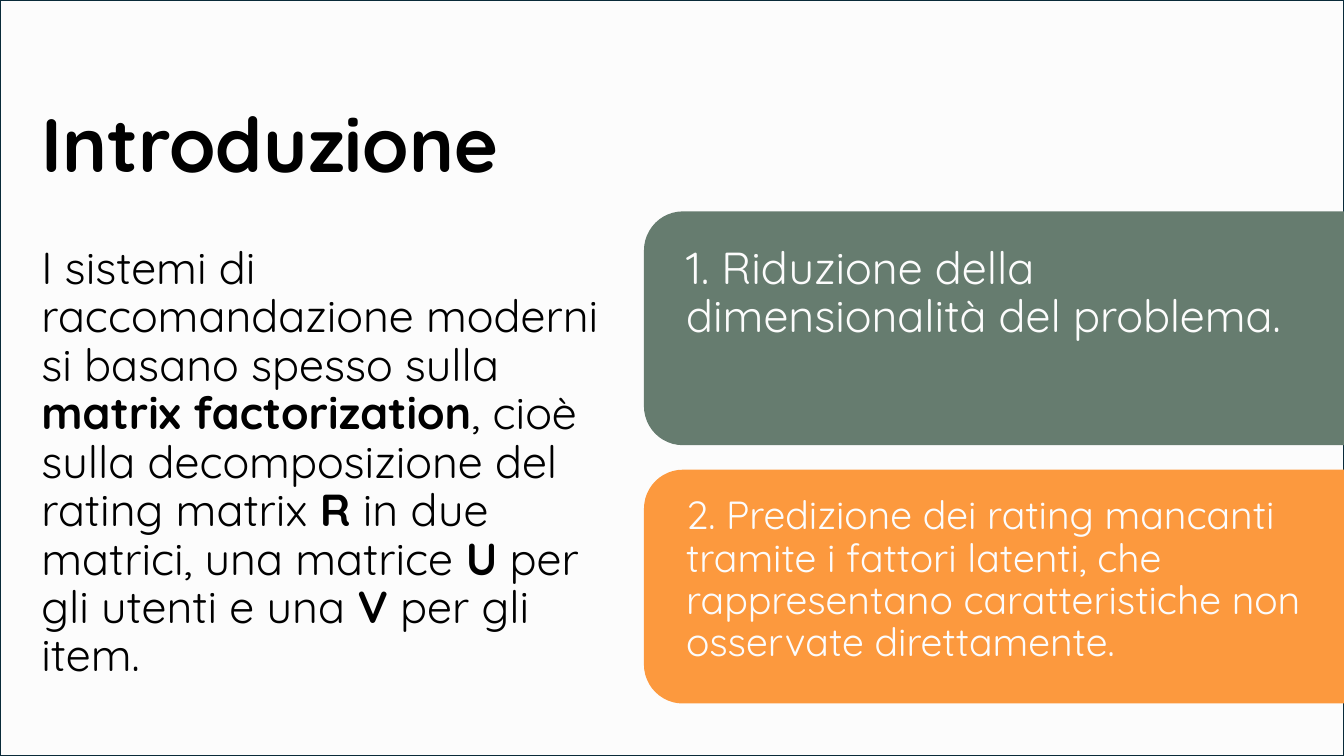
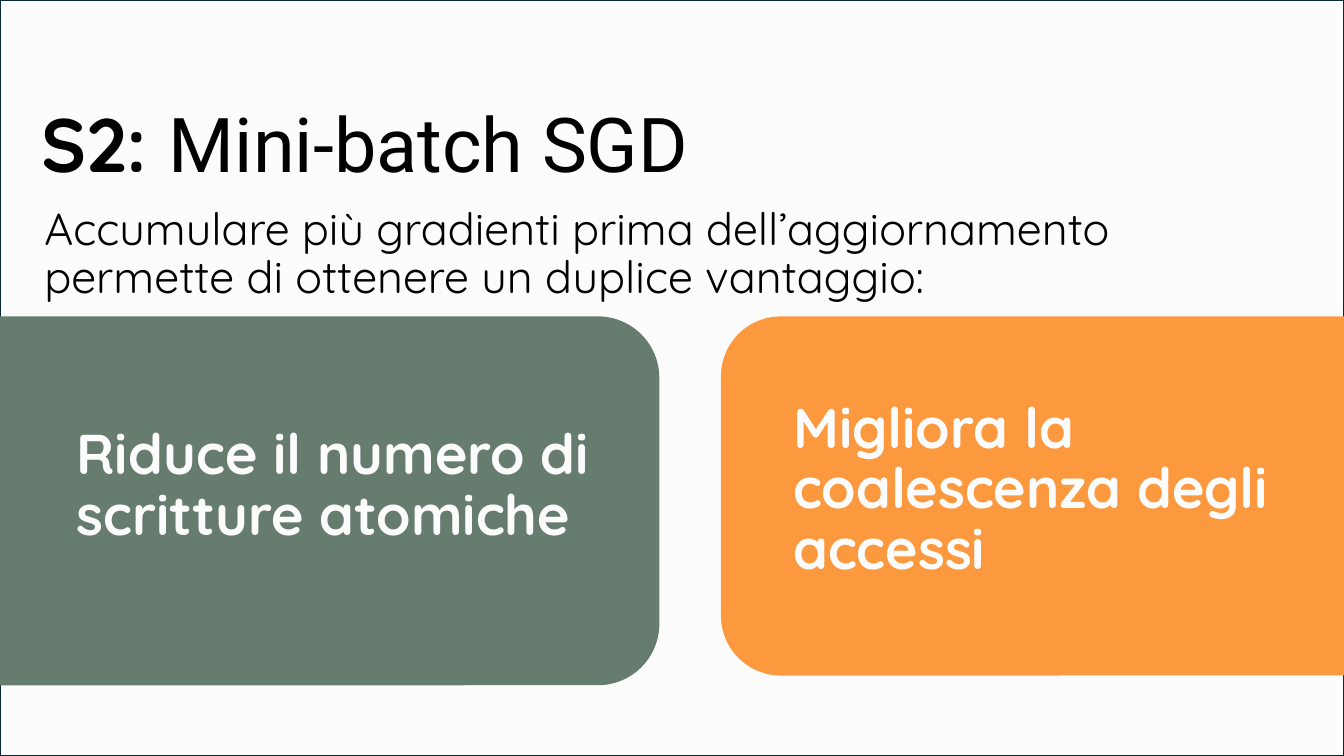
from lxml import etree
from pptx import Presentation
from pptx.dml.color import RGBColor
from pptx.enum import shapes, text
from pptx.oxml import ns
from pptx.util import Pt

WHITE = RGBColor(0xFC, 0xFC, 0xFC)
BLACK = RGBColor(0x00, 0x00, 0x00)
NAVY = RGBColor(0x09, 0x2A, 0x39)
GREEN = RGBColor(0x66, 0x7C, 0x6F)
ORANGE = RGBColor(0xFC, 0x99, 0x3E)
FONT = "Quicksand"
WIDTH, HEIGHT = 960, 540
LEFT = 22.3

# Each run is (text, bold, font); each card is
# (colour, card box, text box, text, size, bold).
SLIDES = [
    {
        "title": [("Introduzione", True, FONT)],
        "body": [
            ("I sistemi di raccomandazione moderni si basano spesso sulla ", False, FONT),
            ("matrix factorization", True, FONT),
            (", cioè sulla decomposizione del rating matrix ", False, FONT),
            ("R", True, FONT),
            (" in due matrici, una matrice ", False, FONT),
            ("U", True, FONT),
            (" per gli utenti e una ", False, FONT),
            ("V", True, FONT),
            (" per gli item.", False, FONT),
        ],
        "body_box": (LEFT, 172, 415.5, 316),
        "cards": [
            (GREEN, (460, 151, 629, 167), (483, 172, 455, 75),
             "1. Riduzione della dimensionalità del problema.", 32, False),
            (ORANGE, (460, 335.5, 629, 167), (483, 350.6, 455, 137.5),
             "2. Predizione dei rating mancanti tramite i fattori latenti, che "
             "rappresentano caratteristiche non osservate direttamente.", 28, False),
        ],
    },
    {
        "title": [("S2: ", True, FONT), ("Mini-batch SGD", False, "Roboto")],
        "body": [("Accumulare più gradienti prima dell’aggiornamento permette di "
                  "ottenere un duplice vantaggio:", False, FONT)],
        "body_box": (24.5, 144, 915, 75),
        "cards": [
            (GREEN, (-56, 226, 527, 263.5), (47.5, 301, 386.5, 106),
             "Riduce il numero di scritture atomiche", 40, True),
            (ORANGE, (515, 226, 513, 256.5), (559.5, 282, 386.5, 143),
             "Migliora la coalescenza degli accessi", 40, True),
        ],
    },
]


def place(sp, box):
    sp.left, sp.top, sp.width, sp.height = map(Pt, box)


def write(sp, runs, size, color, before=10, anchor=text.MSO_ANCHOR.TOP):
    """Fill a text shape with one left-aligned paragraph without a bullet."""
    tf = sp.text_frame
    tf.word_wrap = True
    tf.auto_size = text.MSO_AUTO_SIZE.NONE
    tf.vertical_anchor = anchor
    p = tf.paragraphs[0]
    p.alignment = text.PP_ALIGN.LEFT
    p.line_spacing = 0.9
    p.space_before = Pt(before)
    pPr = p._p.get_or_add_pPr()
    pPr.set("marL", "0")
    pPr.set("indent", "0")
    etree.SubElement(pPr, ns.qn("a:buNone"))
    for words, bold, font in runs:
        r = p.add_run()
        r.text = words
        r.font.name = font
        r.font.size = Pt(size)
        r.font.bold = bold
        r.font.color.rgb = color


prs = Presentation()
prs.slide_width, prs.slide_height = Pt(WIDTH), Pt(HEIGHT)
background = prs.slide_master.background.fill
background.solid()
background.fore_color.rgb = WHITE

for content in SLIDES:
    s = prs.slides.add_slide(prs.slide_layouts[1])

    title = s.shapes.title
    place(title, (LEFT, 70.5, 730, 67.7))
    write(title, content["title"], 54, BLACK, 0, text.MSO_ANCHOR.BOTTOM)

    body = s.placeholders[1]
    place(body, content["body_box"])
    write(body, content["body"], 32, BLACK)

    frame = s.shapes.add_shape(shapes.MSO_SHAPE.RECTANGLE, 0, 0, Pt(WIDTH), Pt(HEIGHT))
    frame.shadow.inherit = False
    frame.fill.background()
    frame.line.color.rgb = NAVY
    frame.line.width = Pt(1.5)

    for color, card_box, text_box, words, size, bold in content["cards"]:
        card = s.shapes.add_shape(shapes.MSO_SHAPE.ROUNDED_RECTANGLE, *map(Pt, card_box))
        card.shadow.inherit = False
        card.fill.solid()
        card.fill.fore_color.rgb = color
        card.line.fill.background()
        label = s.shapes.add_textbox(*map(Pt, text_box))
        write(label, [(words, bold, FONT)], size, WHITE)

prs.save("out.pptx")
